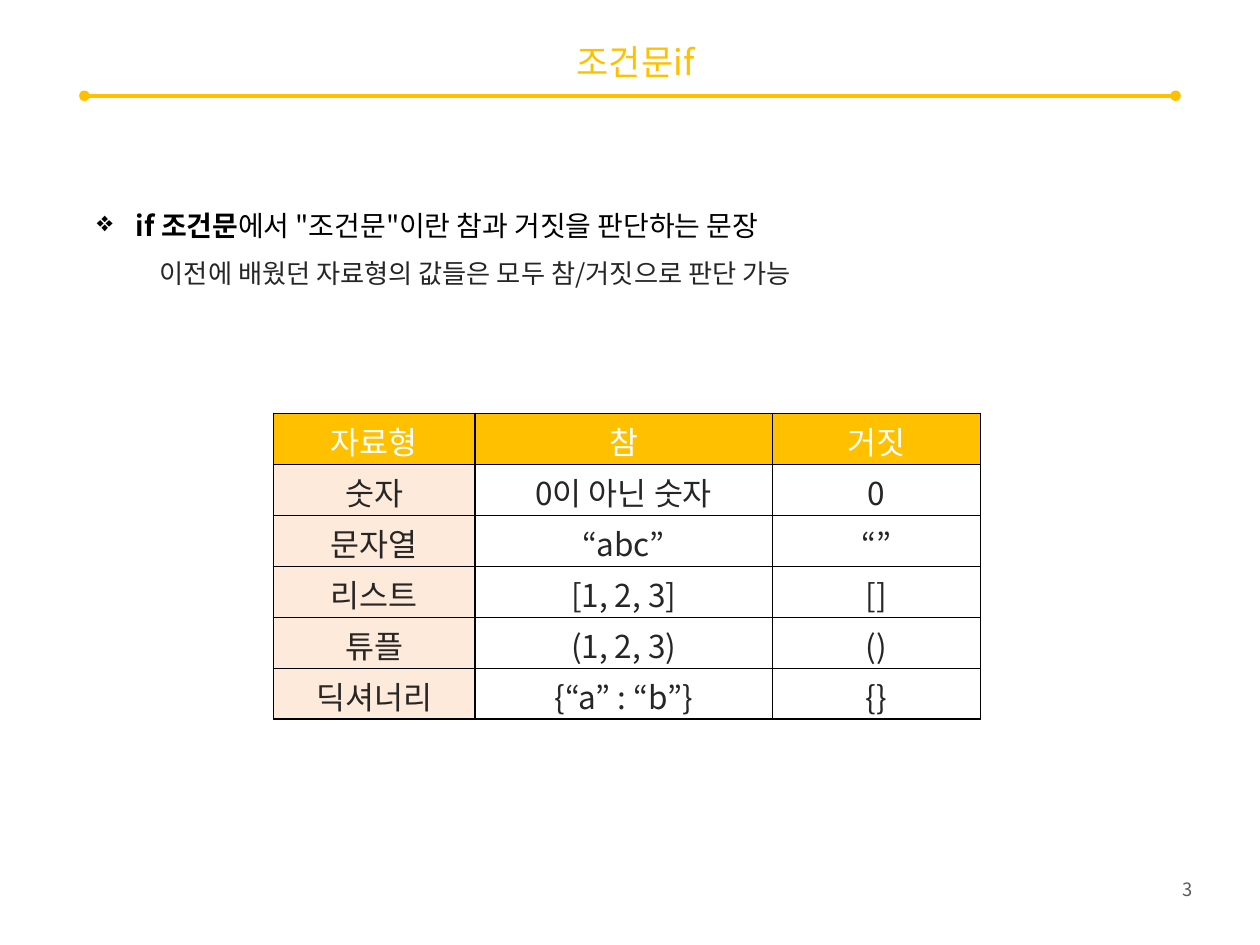
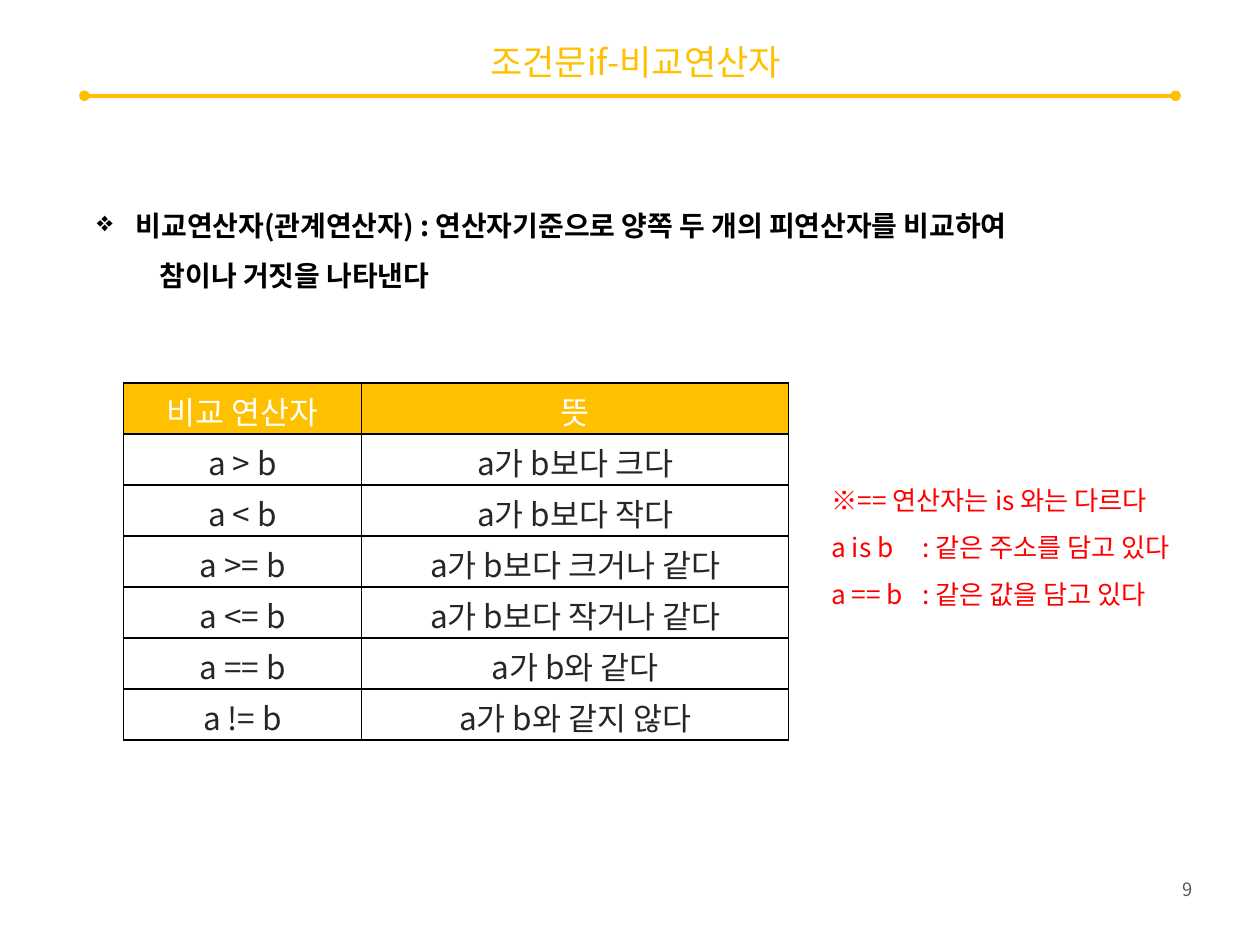
"""Build two lesson slides on the if statement and comparison operators."""
from lxml import etree
from pptx import Presentation
from pptx.dml.color import RGBColor
from pptx.enum.shapes import MSO_CONNECTOR
from pptx.enum.text import MSO_ANCHOR, MSO_AUTO_SIZE, PP_ALIGN
from pptx.oxml.ns import qn
from pptx.util import Inches, Pt

LEFT, CENTER, RIGHT = PP_ALIGN.LEFT, PP_ALIGN.CENTER, PP_ALIGN.RIGHT
MIDDLE = MSO_ANCHOR.MIDDLE
GROW = MSO_AUTO_SIZE.SHAPE_TO_FIT_TEXT
STRAIGHT = MSO_CONNECTOR.STRAIGHT

FONT = "Noto Sans CJK KR"
COLORS = {
    "gold": "FFC000",
    "peach": "FDEADA",
    "white": "FFFFFF",
    "black": "000000",
    "dark": "262626",
    "gray": "595959",
    "red": "FF0000",
}


def rgb(name):
    return RGBColor.from_string(COLORS[name])


def child(parent, tag, **attrs):
    return etree.SubElement(parent, qn(tag), {k: str(v) for k, v in attrs.items()})


def write(para, text, size=18, color="dark", bold=False, align=LEFT,
          space=None, inset=None, hang=0, bullet=None, tab=None):
    para.alignment = align
    if space:
        para.line_spacing = space
    props = para._p.get_or_add_pPr()
    if inset:
        props.set("marL", str(Inches(inset)))
        props.set("indent", str(Inches(-hang)))
    if bullet:
        child(props, "a:buChar", char=bullet)
    if tab:
        stops = child(props, "a:tabLst")
        child(stops, "a:tab", pos=Inches(tab), algn="l")
    run = para.add_run()
    run.text = text
    font = run.font
    font.name, font.size, font.bold = FONT, Pt(size), bold
    font.color.rgb = rgb(color)
    child(run._r.get_or_add_rPr(), "a:ea", typeface=FONT)


class Deck:
    def __init__(self):
        self.file = Presentation()
        self.file.slide_width = Inches(10)
        self.file.slide_height = Inches(7.5)
        self.slide = None

    def start(self, title, number):
        self.slide = self.file.slides.add_slide(self.file.slide_layouts[5])
        self.rule()
        page = self.box(8.97, 6.92, 0.59, 0.29, wrap=False)
        write(page.paragraphs[0], number, size=10.5, color="gray", align=RIGHT)
        head = self.slide.shapes.title
        head.left, head.top = Inches(0.83), Inches(0.3)
        head.width, head.height = Inches(8.43), Inches(0.38)
        head.text_frame.vertical_anchor = MIDDLE
        write(head.text_frame.paragraphs[0], title, size=20, color="gold", align=CENTER)

    def rule(self):
        line = self.slide.shapes.add_connector(
            STRAIGHT, Inches(0.67), Inches(0.76), Inches(9.33), Inches(0.76))
        line.line.color.rgb = rgb("gold")
        line.line.width = Pt(2)
        stroke = line.line._get_or_add_ln()
        for end in ("a:headEnd", "a:tailEnd"):
            child(stroke, end, type="oval")
        child(line._element.spPr, "a:effectLst")

    def box(self, left, top, width, height, wrap=True):
        shape = self.slide.shapes.add_textbox(
            Inches(left), Inches(top), Inches(width), Inches(height))
        frame = shape.text_frame
        frame.word_wrap = wrap
        frame.auto_size = GROW
        return frame

    def topic(self, width, lead, rest, detail, **style):
        frame = self.box(0.67, 1.47, width, 0.88)
        first = frame.paragraphs[0]
        write(first, lead, size=16, color="black", bold=True,
              space=1.5, inset=0.31, hang=0.31, bullet="❖")
        if rest:
            write(first, rest, size=16, color="black", space=1.5)
        second = frame.add_paragraph()
        second.level = 1
        write(second, detail, space=1.5, inset=0.5, **style)

    def note(self, left, top, width, height, lines):
        frame = self.box(left, top, width, height)
        for i, text in enumerate(lines):
            para = frame.add_paragraph() if i else frame.paragraphs[0]
            write(para, text, size=15, color="red", space=1.5, tab=0.72)

    def table(self, left, top, widths, rows, side):
        high = 0.405
        grid = self.slide.shapes.add_table(
            len(rows), len(widths), Inches(left), Inches(top),
            Inches(sum(widths)), Inches(high * len(rows))).table
        for column, width in zip(grid.columns, widths):
            column.width = Inches(width)
        for r, row in enumerate(rows):
            grid.rows[r].height = Inches(high)
            for c, text in enumerate(row):
                fill = "gold" if r == 0 else side if c == 0 else "white"
                self.cell(grid.cell(r, c), text, fill, "dark" if r else "white")

    def cell(self, cell, text, fill, color):
        cell.margin_top, cell.margin_bottom = Inches(0.04), 0
        props = cell._tc.get_or_add_tcPr()
        for edge in "LRTB":
            line = child(props, f"a:ln{edge}", w=Pt(1))
            child(child(line, "a:solidFill"), "a:srgbClr", val=COLORS["black"])
        cell.fill.solid()
        cell.fill.fore_color.rgb = rgb(fill)
        write(cell.text_frame.paragraphs[0], text, color=color, align=CENTER)


deck = Deck()

deck.start("조건문if", "3")
deck.topic(7.87, "if 조건문", "에서 \"조건문\"이란 참과 거짓을 판단하는 문장",
           "이전에 배웠던 자료형의 값들은 모두 참/거짓으로 판단 가능", size=15)
deck.table(2.17, 3.28, [1.6, 2.36, 1.65], [
    ("자료형", "참", "거짓"),
    ("숫자", "0이 아닌 숫자", "0"),
    ("문자열", "“abc”", "“”"),
    ("리스트", "[1, 2, 3]", "[]"),
    ("튜플", "(1, 2, 3)", "()"),
    ("딕셔너리", "{“a” : “b”}", "{}"),
], "peach")

deck.start("조건문if-비교연산자", "9")
deck.topic(8.03, "비교연산자(관계연산자) : 연산자기준으로 양쪽 두 개의 피연산자를 비교하여", "",
           "참이나 거짓을 나타낸다", size=16, color="black", bold=True)
deck.table(0.98, 3.04, [1.89, 3.39], [
    ("비교 연산자", "뜻"),
    ("a > b", "a가 b보다 크다"),
    ("a < b", "a가 b보다 작다"),
    ("a >= b", "a가 b보다 크거나 같다"),
    ("a <= b", "a가 b보다 작거나 같다"),
    ("a == b", "a가 b와 같다"),
    ("a != b", "a가 b와 같지 않다"),
], "white")
deck.note(6.5, 3.67, 3.23, 1.24, [
    "※== 연산자는 is 와는 다르다",
    "a is b\t: 같은 주소를 담고 있다",
    "a == b\t: 같은 값을 담고 있다",
])

deck.file.save("out.pptx")
